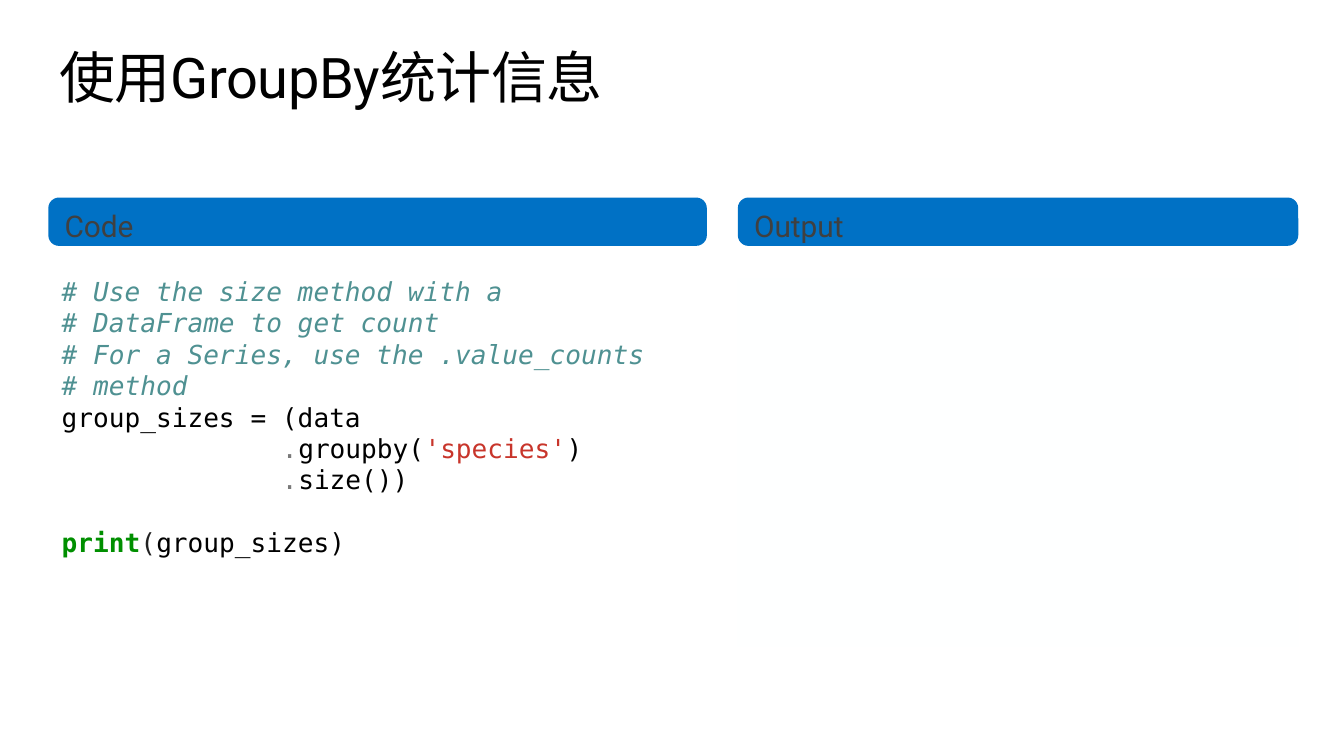
from pptx import Presentation
from pptx import util as u
from pptx.dml.color import RGBColor
from pptx.enum import shapes, text

BLACK = RGBColor(0x00, 0x00, 0x00)
BLUE = RGBColor(0x00, 0x71, 0xC5)
DARK_GREY = RGBColor(0x40, 0x40, 0x40)
COMMENT = RGBColor(0x4F, 0x91, 0x92)
OPERATOR = RGBColor(0x79, 0x79, 0x79)
STRING = RGBColor(0xC8, 0x35, 0x2B)
KEYWORD = RGBColor(0x00, 0x8F, 0x00)
BRACKET = RGBColor(0x21, 0x21, 0x21)
PANEL = RGBColor(0xFE, 0xFF, 0xFF)

BODY_FONT = "Roboto"
CODE_FONT = "DejaVu Sans Mono"
CODE_INDENT = " " * 14

COMMENT_LINES = [
    "# Use the size method with a",
    "# DataFrame to get count",
    "# For a Series, use the .value_counts",
    "# method",
]
CODE_LINES = [[(line, COMMENT)] for line in COMMENT_LINES] + [
    [("group_sizes = (data", BLACK)],
    [(CODE_INDENT + ".", OPERATOR), ("groupby(", BLACK),
     ("'species'", STRING), (")", BLACK)],
    [(CODE_INDENT + ".", OPERATOR), ("size())", BLACK)],
    [("print", KEYWORD), ("(", BRACKET), ("group_sizes)", BLACK)],
]


def add_run(paragraph, words, font_name, size, color):
    run = paragraph.add_run()
    run.text = words
    run.font.name = font_name
    run.font.size = u.Pt(size)
    run.font.color.rgb = color
    return run


def add_box(slide, kind, left, top, width, height, color):
    shape = slide.shapes.add_shape(
        kind, u.Inches(left), u.Inches(top), u.Inches(width), u.Inches(height))
    shape.shadow.inherit = False
    shape.fill.solid()
    shape.fill.fore_color.rgb = color
    shape.line.fill.background()
    return shape


def place_title(slide, left, top, width, height):
    title = slide.shapes.title
    title.left, title.top = u.Inches(left), u.Inches(top)
    title.width, title.height = u.Inches(width), u.Inches(height)
    frame = title.text_frame
    frame.margin_left = frame.margin_right = 0
    frame.margin_top = frame.margin_bottom = 0
    frame.vertical_anchor = text.MSO_ANCHOR.TOP
    frame.auto_size = text.MSO_AUTO_SIZE.NONE
    paragraph = frame.paragraphs[0]
    paragraph.alignment = text.PP_ALIGN.LEFT
    paragraph.space_before = u.Pt(0)
    paragraph.line_spacing = 1.0
    run = add_run(paragraph, "使用GroupBy统计信息", BODY_FONT, 30, BLACK)
    run.font._element.set("spc", "-25")


def add_header(slide, label, left, top, width, height):
    header = add_box(slide, shapes.MSO_SHAPE.ROUNDED_RECTANGLE,
                     left, top, width, height, BLUE)
    header.adjustments[0] = 0.22
    frame = header.text_frame
    frame.vertical_anchor = text.MSO_ANCHOR.TOP
    paragraph = frame.paragraphs[0]
    paragraph.alignment = text.PP_ALIGN.LEFT
    add_run(paragraph, label, BODY_FONT, 16, DARK_GREY)


def add_code_region(slide, left, top, width, height):
    add_header(slide, "Code", left, top, width, 0.36)
    code = slide.shapes.add_textbox(
        u.Inches(left), u.Inches(top + 0.53),
        u.Inches(width + 0.12), u.Inches(height - 0.53))
    frame = code.text_frame
    frame.word_wrap = True
    for index, line in enumerate(CODE_LINES):
        paragraph = frame.paragraphs[0] if index == 0 else frame.add_paragraph()
        for words, color in line:
            run = add_run(paragraph, words, CODE_FONT, 14, color)
            run.font.italic = color == COMMENT
            run.font.bold = color == KEYWORD
    frame.paragraphs[-1].space_before = u.Pt(16.8)


def add_output_region(slide, left, top, width, height):
    add_header(slide, "Output", left, top, width, 0.36)
    add_box(slide, shapes.MSO_SHAPE.RECTANGLE,
            left, top + 0.6, width, height - 0.6, PANEL)


def main():
    presentation = Presentation()
    presentation.slide_width = u.Inches(10)
    presentation.slide_height = u.Inches(10 * 9 / 16)
    slide = presentation.slides.add_slide(presentation.slide_layouts[5])
    place_title(slide, 0.44, 0.32, 9.23, 0.5)
    add_code_region(slide, 0.36, 1.47, 4.9, 2.75)
    add_output_region(slide, 5.49, 1.47, 4.17, 3.34)
    presentation.save("out.pptx")


if __name__ == "__main__":
    main()
